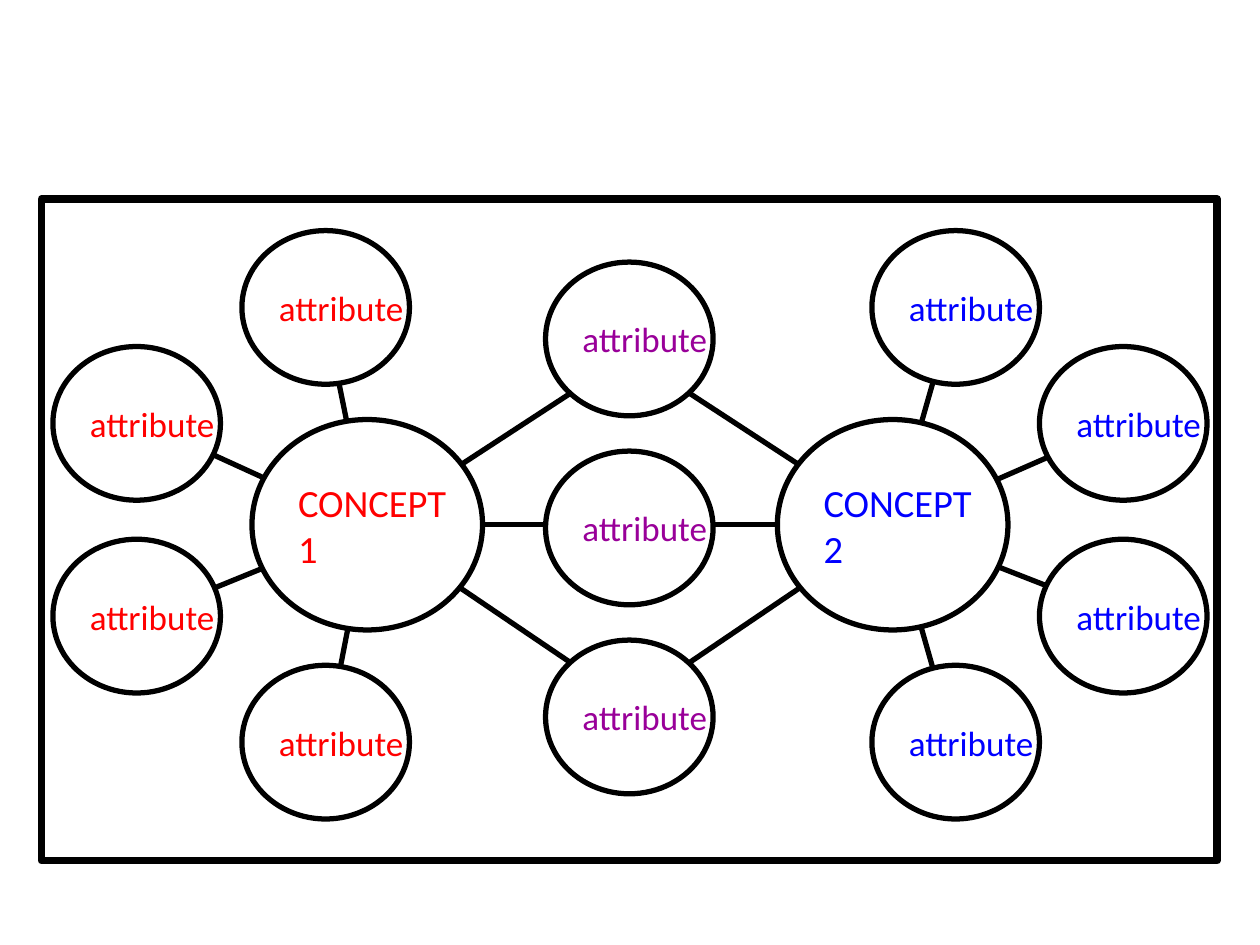
import pptx
import pptx.util
from pptx.dml.color import RGBColor
from pptx.enum.shapes import MSO_CONNECTOR, MSO_SHAPE
from pptx.enum.text import MSO_ANCHOR, PP_ALIGN
from pptx.oxml import parse_xml
from pptx.oxml.ns import nsdecls
from pptx.util import Inches

BLACK = RGBColor(0x00, 0x00, 0x00)
WHITE = RGBColor(0xFF, 0xFF, 0xFF)
RED = RGBColor(0xFF, 0x00, 0x00)
BLUE = RGBColor(0x00, 0x00, 0xFF)
PURPLE = RGBColor(0x99, 0x00, 0x99)

CONCEPT_SIZE = (1.83, 1.67)
ATTRIBUTE_SIZE = (1.33, 1.22)


def add_outlined(page, kind, box, weight):
    shape = page.shapes.add_shape(kind, *(Inches(length) for length in box))
    shape.shadow.inherit = False
    shape.fill.solid()
    shape.fill.fore_color.rgb = WHITE
    shape.line.color.rgb = BLACK
    shape.line.width = pptx.util.Pt(weight)
    return shape


def write_text(shape, text, size, color, font="Calibri"):
    """Write one left-aligned paragraph per line of text."""
    frame = shape.text_frame
    frame.word_wrap = False
    frame.vertical_anchor = MSO_ANCHOR.MIDDLE
    frame.text = text
    for para in frame.paragraphs:
        para.alignment = PP_ALIGN.LEFT
        for span in para.runs:
            span.font.name = font
            span.font.size = pptx.util.Pt(size)
            span.font.color.rgb = color


def add_link(page, start, end):
    ends = (Inches(length) for length in (*start, *end))
    link = page.shapes.add_connector(MSO_CONNECTOR.STRAIGHT, *ends)
    link.line.color.rgb = BLACK
    link.line.width = pptx.util.Pt(3)
    link._element.spPr.append(parse_xml(f"<a:effectLst {nsdecls('a')}/>"))


def add_bubble(page, corner, extent, text, **text_format):
    bubble = add_outlined(page, MSO_SHAPE.OVAL, (*corner, *extent), 3)
    write_text(bubble, text, **text_format)


def add_attributes(page, corners, color):
    for corner in corners:
        add_bubble(page, corner, ATTRIBUTE_SIZE, "attribute", size=20, color=color)


def add_links(page, left_hub, right_hub):
    """Join each hub to its own attributes and to the shared ones."""
    add_link(page, (3.83, 4.16), (6.17, 4.16))
    for hub, shared_x in ((left_hub, 4.53), (right_hub, 5.47)):
        for shared_y in (3.12, 5.26):
            add_link(page, hub, (shared_x, shared_y))
    for end in ((2.58, 2.5), (1.08, 3.33), (1.08, 4.92), (2.58, 5.92)):
        add_link(page, left_hub, end)
    for end in ((7.58, 2.42), (9, 3.33), (9, 4.92), (7.58, 5.92)):
        add_link(page, right_hub, end)


def add_concept(page, corner, name, color, inner_x, outer_x):
    """Draw a concept with two attributes beside it and two above and below."""
    add_bubble(page, corner, CONCEPT_SIZE, name, size=22, color=color)
    corners = [(outer_x, 2.75), (outer_x, 4.28), (inner_x, 1.83), (inner_x, 5.28)]
    add_attributes(page, corners, color)


def add_comparison_map(page, box):
    add_outlined(page, MSO_SHAPE.RECTANGLE, box, 4.5)
    add_links(page, (2.92, 4.17), (7.08, 4.17))
    add_concept(page, (2, 3.33), "CONCEPT\n1", RED, inner_x=1.92, outer_x=0.42)
    add_concept(page, (6.17, 3.33), "CONCEPT\n2", BLUE, inner_x=6.92, outer_x=8.25)
    add_attributes(page, [(4.33, 2.08 + 1.5 * row) for row in range(3)], PURPLE)


def main():
    deck = pptx.Presentation()
    deck.slide_width, deck.slide_height = Inches(10), Inches(7.5)
    page = deck.slides.add_slide(deck.slide_layouts[6])
    add_comparison_map(page, (0.33, 1.58, 9.33, 5.25))
    deck.save("out.pptx")


if __name__ == "__main__":
    main()
